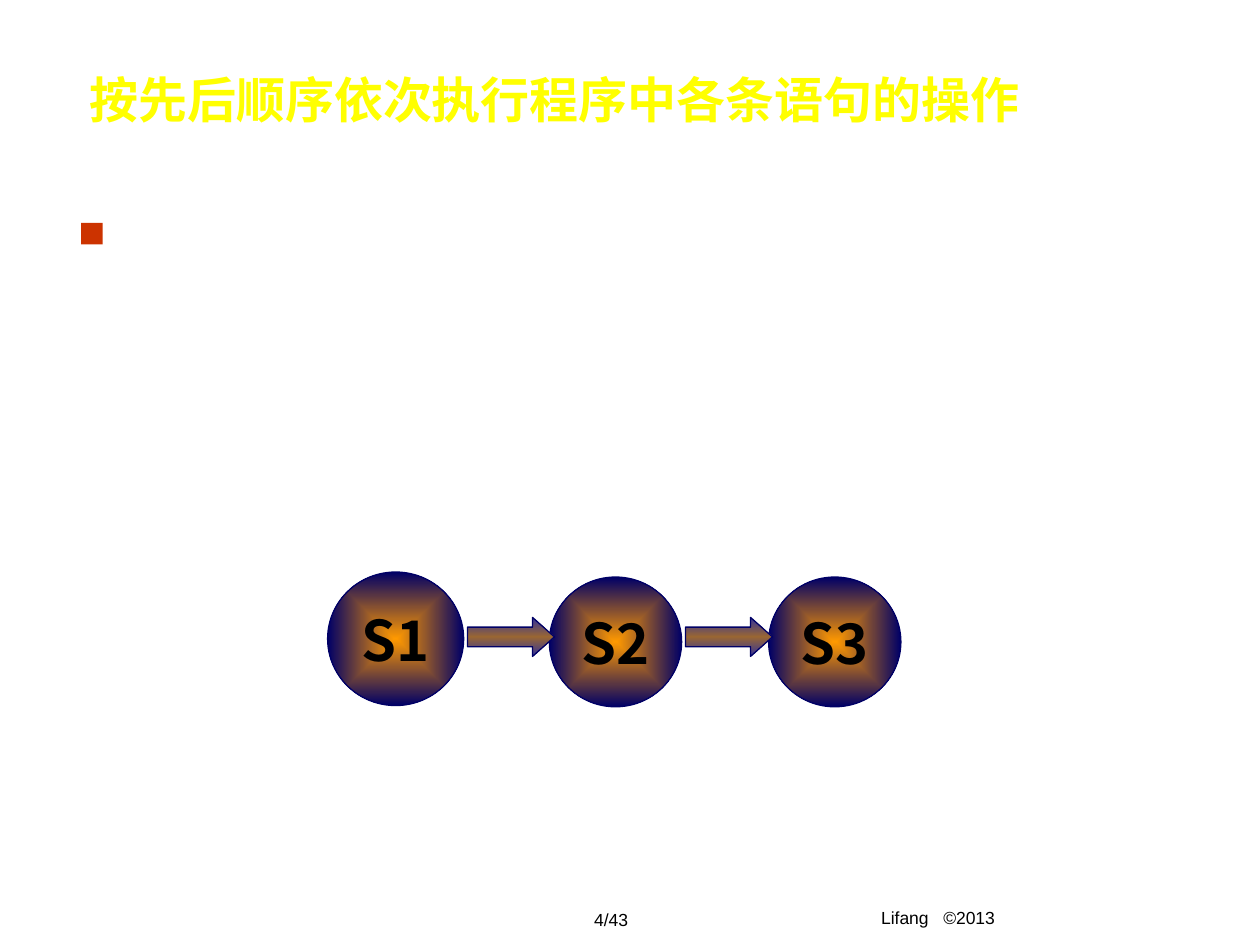
from lxml import etree
from pptx import Presentation
from pptx.dml.color import RGBColor
from pptx.enum.shapes import MSO_SHAPE
from pptx.enum.text import MSO_ANCHOR, MSO_AUTO_SIZE, PP_ALIGN
from pptx.oxml.ns import qn
from pptx.util import Inches, Pt

OVAL, ARROW, SQUARE = MSO_SHAPE.OVAL, MSO_SHAPE.RIGHT_ARROW, MSO_SHAPE.RECTANGLE
TOP, MIDDLE = MSO_ANCHOR.TOP, MSO_ANCHOR.MIDDLE
LEFT, CENTER = PP_ALIGN.LEFT, PP_ALIGN.CENTER
FIXED = MSO_AUTO_SIZE.NONE

THEME = {
    "title": "FFFF00", "text": "000000", "bullet": "CC3300", "outline": "000066",
    "step_stops": [(0, "FF9900"), (100, "000066")],
    "arrow_stops": [(0, "333399"), (50, "996633"), (100, "333399")],
    "latin": "Arial", "cjk": "Noto Sans CJK SC",
    "title_size": 28, "step_size": 32, "footer_size": 10,
}

# A grid of 100 columns by 75 rows
presentation = Presentation()
presentation.slide_width, presentation.slide_height = Inches(10), Inches(7.5)
COLUMN = presentation.slide_width / 100
ROW = presentation.slide_height / 75
slide = presentation.slides.add_slide(presentation.slide_layouts[5])


def grid(left, top, width, height):
    return [round(n * unit) for n, unit in
            zip((left, top, width, height), (COLUMN, ROW, COLUMN, ROW))]


def write_text(frame, text, *, size, color=THEME["text"], font=THEME["latin"],
               bold=False, align=CENTER, anchor=TOP, wrap=True, spacing=0):
    """Append a formatted run to the frame's first paragraph."""
    frame.word_wrap, frame.auto_size, frame.vertical_anchor = wrap, FIXED, anchor
    paragraph = frame.paragraphs[0]
    paragraph.alignment = align
    run = paragraph.add_run()
    run.text = text
    run.font.size, run.font.bold, run.font.name = Pt(size), bold, font
    run.font.color.rgb = RGBColor.from_string(color)
    properties = run.font._element
    etree.SubElement(properties, qn("a:ea")).set("typeface", THEME["cjk"])
    if spacing:
        properties.set("spc", str(round(spacing * 100)))


# Title
title = slide.shapes.title
title.left, title.top, title.width, title.height = grid(6.1, 5, 85, 9.2)
write_text(title.text_frame, "按先后顺序依次执行程序中各条语句的操作",
           size=THEME["title_size"], color=THEME["title"], bold=True, align=LEFT)

# Square marker of the empty list
marker = slide.shapes.add_shape(SQUARE, *grid(6.45, 17.7, 1.7, 1.7))
marker.shadow.inherit = False
marker.fill.solid()
marker.fill.fore_color.rgb = RGBColor.from_string(THEME["bullet"])
marker.line.fill.background()

# Steps in sequence, then the arrows between them
sequence = [
    (OVAL, "S1", (26, 45.4, 10.8, 10.6)),
    (OVAL, "S2", (43.6, 45.8, 10.5, 10.3)),
    (OVAL, "S3", (61, 45.8, 10.5, 10.3)),
    (ARROW, "", (37.1, 49, 6.9, 3.1)),
    (ARROW, "", (54.4, 49, 6.9, 3.1)),
]
for kind, label, place in sequence:
    part = slide.shapes.add_shape(kind, *grid(*place))
    part.shadow.inherit = False
    part.line.color.rgb = RGBColor.from_string(THEME["outline"])
    part.line.width = Pt(0.75)
    part.fill.gradient()
    gradient = part._element.spPr.find(qn("a:gradFill"))
    for child in list(gradient):
        gradient.remove(child)
    stops = etree.SubElement(gradient, qn("a:gsLst"))
    for position, color in THEME["step_stops" if label else "arrow_stops"]:
        stop = etree.SubElement(stops, qn("a:gs"), pos=str(position * 1000))
        etree.SubElement(stop, qn("a:srgbClr"), val=color)
    if label:
        shade = etree.SubElement(gradient, qn("a:path"), path="rect")
        etree.SubElement(shade, qn("a:fillToRect"),
                         {side: "50000" for side in "ltrb"})
        write_text(part.text_frame, label, size=THEME["step_size"],
                   font=THEME["cjk"], bold=True, anchor=MIDDLE, wrap=False)
    else:
        etree.SubElement(gradient, qn("a:lin"), ang="5400000", scaled="1")
        part.adjustments[0], part.adjustments[1] = 0.5, 0.56

# Footer: page number and author, with a widened space before the year
page = slide.shapes.add_textbox(*grid(43.4, 71.6, 10.2, 2.7))
write_text(page.text_frame, "4/43", size=THEME["footer_size"],
           anchor=MIDDLE, wrap=False)
author = slide.shapes.add_textbox(*grid(58.6, 71.5, 31.7, 3.5))
for words, spacing in (("Lifang", 0), (" ", 5.6), ("©2013", 0)):
    write_text(author.text_frame, words, size=THEME["footer_size"], spacing=spacing)

presentation.save("out.pptx")
